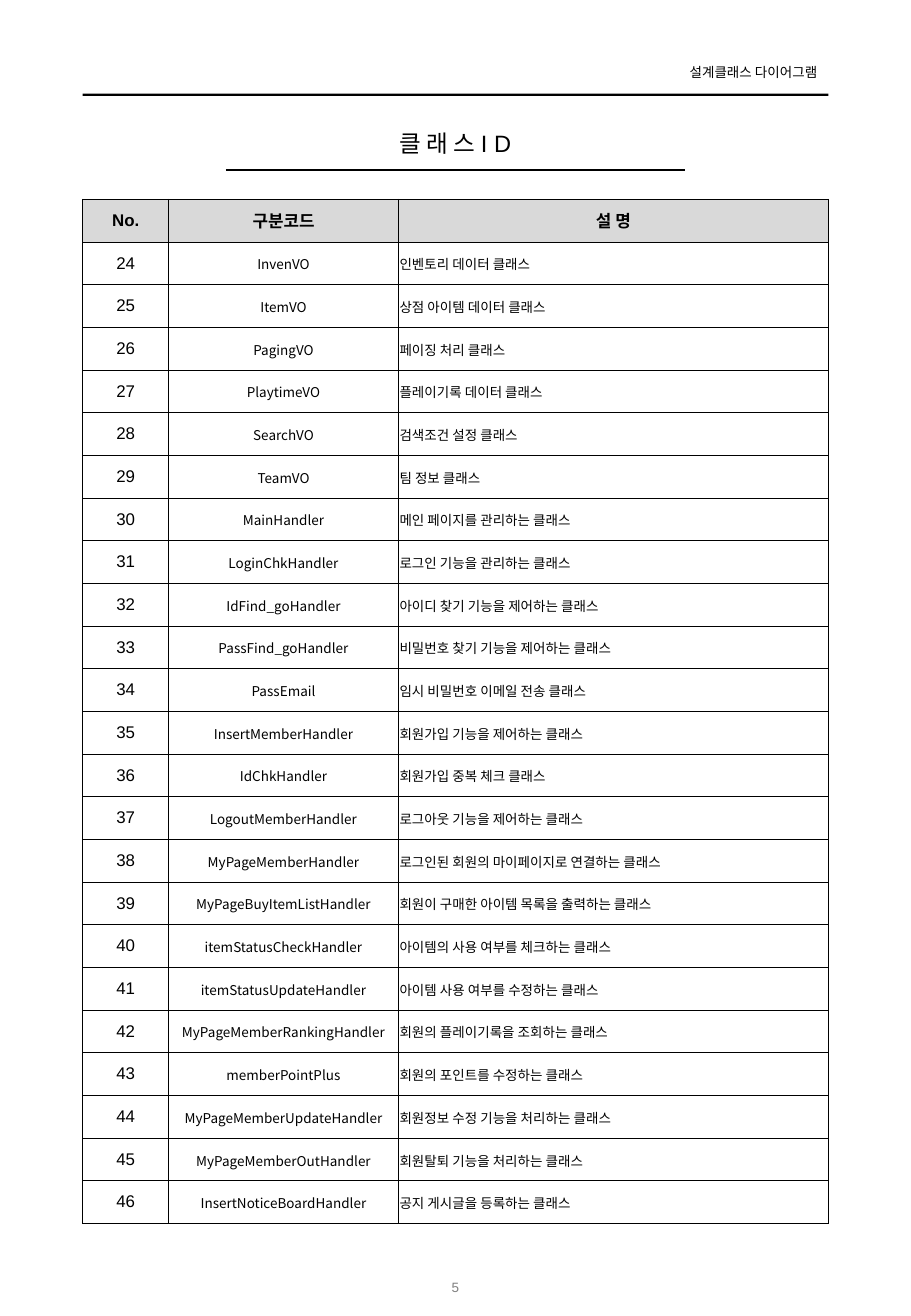
from lxml import etree
from pptx import Presentation
from pptx.dml.color import RGBColor
from pptx.enum.shapes import MSO_CONNECTOR, MSO_SHAPE
from pptx.enum.text import MSO_ANCHOR, PP_ALIGN
from pptx.oxml.ns import qn
from pptx.util import Inches, Pt

BLACK = RGBColor(0x00, 0x00, 0x00)
GRAY = RGBColor(0x80, 0x80, 0x80)
HEADER_FILL = RGBColor(0xD9, 0xD9, 0xD9)
LATIN_FONT = "Arial"
KOREAN_FONT = "Noto Sans CJK KR"

LEFT, WIDTH = 0.68, 6.14
COLUMN_WIDTHS = [0.71, 1.89, 3.54]
HEADINGS = ["No.", "구분코드", "설 명"]
FIRST_NUMBER = 24
CLASSES = [
    ("InvenVO", "인벤토리 데이터 클래스"),
    ("ItemVO", "상점 아이템 데이터 클래스"),
    ("PagingVO", "페이징 처리 클래스"),
    ("PlaytimeVO", "플레이기록 데이터 클래스"),
    ("SearchVO", "검색조건 설정 클래스"),
    ("TeamVO", "팀 정보 클래스"),
    ("MainHandler", "메인 페이지를 관리하는 클래스"),
    ("LoginChkHandler", "로그인 기능을 관리하는 클래스"),
    ("IdFind_goHandler", "아이디 찾기 기능을 제어하는 클래스"),
    ("PassFind_goHandler", "비밀번호 찾기 기능을 제어하는 클래스"),
    ("PassEmail", "임시 비밀번호 이메일 전송 클래스"),
    ("InsertMemberHandler", "회원가입 기능을 제어하는 클래스"),
    ("IdChkHandler", "회원가입 중복 체크 클래스"),
    ("LogoutMemberHandler", "로그아웃 기능을 제어하는 클래스"),
    ("MyPageMemberHandler", "로그인된 회원의 마이페이지로 연결하는 클래스"),
    ("MyPageBuyItemListHandler", "회원이 구매한 아이템 목록을 출력하는 클래스"),
    ("itemStatusCheckHandler", "아이템의 사용 여부를 체크하는 클래스"),
    ("itemStatusUpdateHandler", "아이템 사용 여부를 수정하는 클래스"),
    ("MyPageMemberRankingHandler", "회원의 플레이기록을 조회하는 클래스"),
    ("memberPointPlus", "회원의 포인트를 수정하는 클래스"),
    ("MyPageMemberUpdateHandler", "회원정보 수정 기능을 처리하는 클래스"),
    ("MyPageMemberOutHandler", "회원탈퇴 기능을 처리하는 클래스"),
    ("InsertNoticeBoardHandler", "공지 게시글을 등록하는 클래스"),
]


def write(tf, text, size, align, font=LATIN_FONT, color=BLACK, bold=False):
    p = tf.paragraphs[0]
    p.text = text
    p.alignment = align
    r = p.runs[0]
    r.font.size = Pt(size)
    r.font.bold = bold
    r.font.color.rgb = color
    r.font.name = font
    etree.SubElement(r.font._element, qn("a:ea"), typeface=KOREAN_FONT)


def add_text(slide, x, y, w, h, text, size, align, margins=(0.1, 0.1), wrap=True,
             anchor=MSO_ANCHOR.TOP, color=BLACK):
    sp = slide.shapes.add_textbox(Inches(x), Inches(y), Inches(w), Inches(h))
    tf = sp.text_frame
    tf.word_wrap = wrap
    tf.vertical_anchor = anchor
    tf.margin_left, tf.margin_right = [Inches(m) for m in margins]
    write(tf, text, size, align, color=color)


def add_page_header(slide, x, y, w):
    text_w, text_h = 1.34, 0.24
    rule = slide.shapes.add_shape(MSO_SHAPE.RECTANGLE, Inches(x), Inches(y + 0.29),
                                  Inches(w), Inches(0.02))
    rule.shadow.inherit = False
    rule.fill.solid()
    rule.fill.fore_color.rgb = BLACK
    rule.line.fill.background()
    add_text(slide, x + w - text_w - 0.01, y, text_w, text_h, "설계클래스 다이어그램",
             8, PP_ALIGN.RIGHT, margins=(0.1, 0.08), wrap=False)


def add_title(slide, x, y, w, h):
    line_w, line_y = 3.78, y + h + 0.05
    line_x = x + (w - line_w) / 2
    line = slide.shapes.add_connector(MSO_CONNECTOR.STRAIGHT, Inches(line_x), Inches(line_y),
                                      Inches(line_x + line_w), Inches(line_y))
    line.line.color.rgb = BLACK
    line.line.width = Pt(1)
    etree.SubElement(line._element.spPr, qn("a:effectLst"))
    add_text(slide, x, y, w, h, "클 래 스 I D", 14, PP_ALIGN.CENTER, margins=(0, 0))


def add_borders(cell):
    tcPr = cell._tc.get_or_add_tcPr()
    for side in ("lnL", "lnR", "lnT", "lnB"):
        ln = etree.SubElement(tcPr, qn(f"a:{side}"), w=str(Pt(0.5)))
        fill = etree.SubElement(ln, qn("a:solidFill"))
        etree.SubElement(fill, qn("a:srgbClr"), val=str(BLACK))


def fill_cell(cell, text, row, col):
    add_borders(cell)
    cell.vertical_anchor = MSO_ANCHOR.MIDDLE
    heading = row == 0
    if heading:
        cell.fill.solid()
        cell.fill.fore_color.rgb = HEADER_FILL
    else:
        cell.fill.background()
    if heading or col == 0:
        write(cell.text_frame, text, 10, PP_ALIGN.CENTER, bold=heading)
    else:
        cell.margin_left = cell.margin_right = cell.margin_top = Inches(0.01)
        cell.margin_bottom = 0
        align = PP_ALIGN.CENTER if col == 1 else PP_ALIGN.LEFT
        write(cell.text_frame, text, 8, align, font=KOREAN_FONT)


def add_class_table(slide, x, y, w, h):
    rows = [HEADINGS]
    rows += [(str(n), *entry) for n, entry in enumerate(CLASSES, FIRST_NUMBER)]
    table = slide.shapes.add_table(len(rows), len(HEADINGS), Inches(x), Inches(y),
                                   Inches(w), Inches(h)).table
    table.first_row = table.horz_banding = False
    for column, width in zip(table.columns, COLUMN_WIDTHS):
        column.width = Inches(width)
    for i, values in enumerate(rows):
        table.rows[i].height = Inches(h / len(rows))
        for j, text in enumerate(values):
            fill_cell(table.cell(i, j), text, i, j)


def main():
    prs = Presentation()
    prs.slide_width, prs.slide_height = Inches(7.5), Inches(10.83)
    slide = prs.slides.add_slide(prs.slide_layouts[6])
    add_page_header(slide, LEFT, 0.48, WIDTH)
    add_title(slide, LEFT, 1.01, WIDTH, 0.34)
    add_text(slide, 3.28, 10.39, 0.94, 0.4, "5", 8, PP_ALIGN.CENTER,
             anchor=MSO_ANCHOR.MIDDLE, color=GRAY)
    add_class_table(slide, LEFT, 1.64, WIDTH, 8.43)
    prs.save("out.pptx")


if __name__ == "__main__":
    main()
